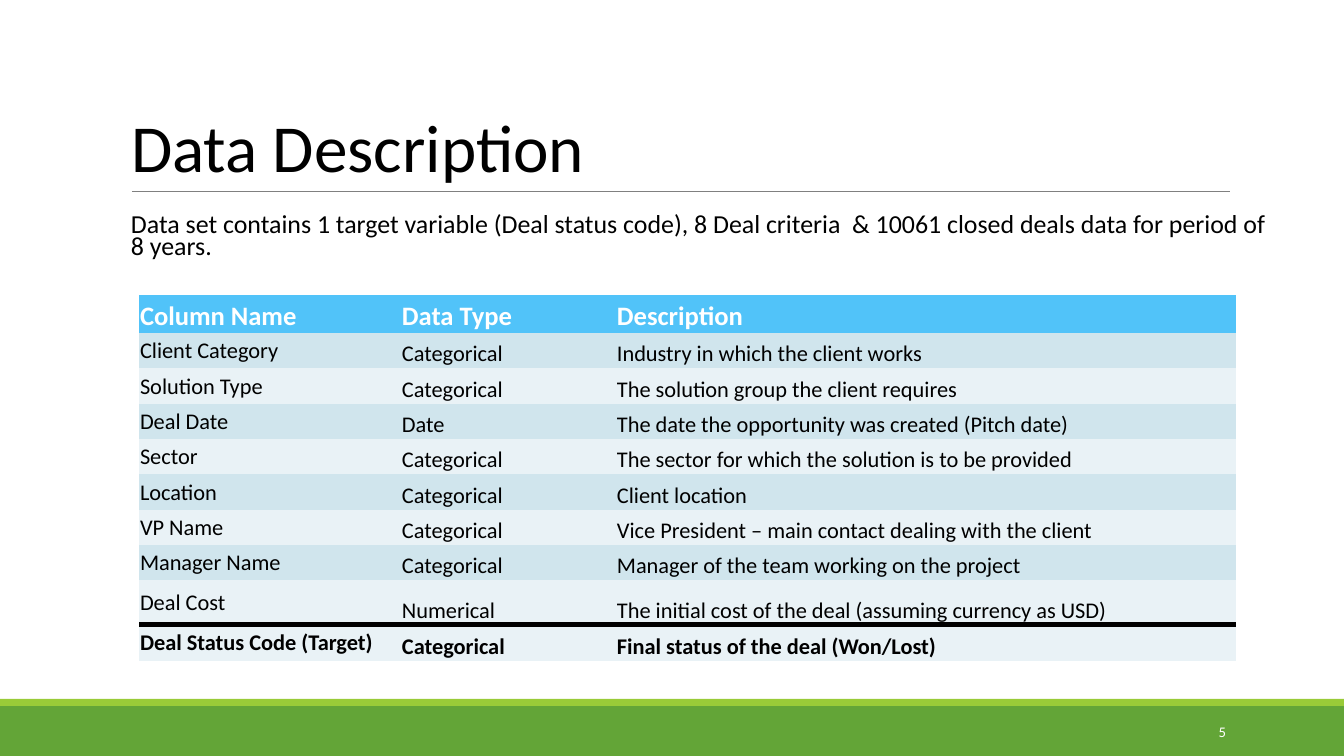
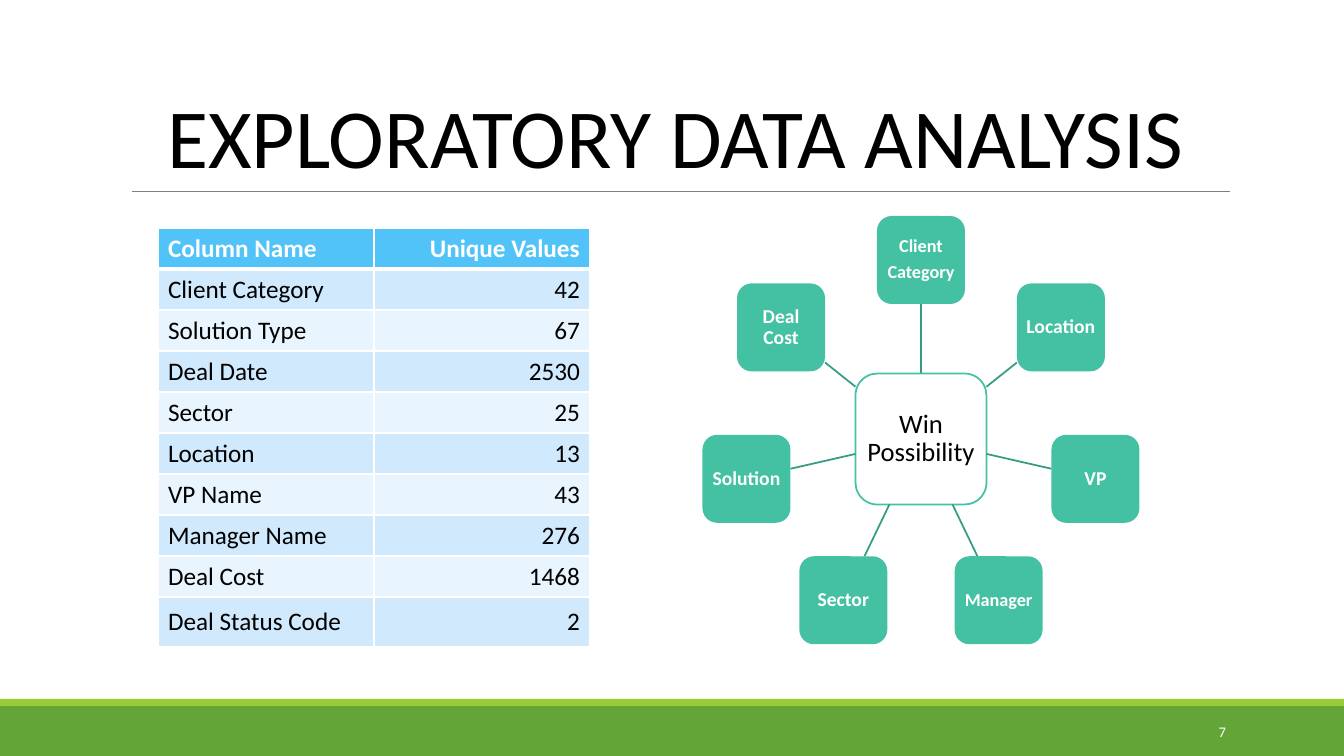
"""Build two slides that describe and explore a set of closed deals."""
from math import cos, pi, sin

from lxml import etree
from pptx import Presentation
from pptx.dml.color import RGBColor
from pptx.enum.shapes import MSO_CONNECTOR, MSO_SHAPE
from pptx.enum.text import MSO_ANCHOR, MSO_AUTO_SIZE, PP_ALIGN
from pptx.oxml import parse_xml
from pptx.oxml.ns import nsdecls, qn
from pptx.util import Pt

LEFT, CENTER, RIGHT = PP_ALIGN.LEFT, PP_ALIGN.CENTER, PP_ALIGN.RIGHT
TOP, MIDDLE, BOTTOM = MSO_ANCHOR.TOP, MSO_ANCHOR.MIDDLE, MSO_ANCHOR.BOTTOM
RECTANGLE, ROUNDED = MSO_SHAPE.RECTANGLE, MSO_SHAPE.ROUNDED_RECTANGLE
STRAIGHT = MSO_CONNECTOR.STRAIGHT
NO_AUTOFIT = MSO_AUTO_SIZE.NONE
TITLE_AND_BODY, TITLE_ONLY = 1, 5
PLAIN_TABLE = "{2D5ABB26-0587-4C30-8999-92F81FD0307C}"
FONT = "Calibri"
SCALE = 914400 / 100.8
COLORS = {
    "black": "000000", "white": "FFFFFF", "band": "63A537", "strip": "99CB38",
    "rule": "808080", "header": "51C3F9", "teal": "44C1A3", "spoke": "369B83",
    "mist": "D0E5ED", "pale_mist": "E9F2F6", "sky": "D0E9FD", "pale_sky": "E9F5FE",
}


def px(length):
    """Turn pixels into EMU."""
    return round(length * SCALE)


def rgb(name):
    """Look up a colour of the deck."""
    return RGBColor.from_string(COLORS[name])


class Deck:
    """Hold the style of the deck and the page being built."""

    def __init__(self):
        """Start an empty wide deck."""
        self.deck = Presentation()
        self.deck.slide_width, self.deck.slide_height = px(1344), px(756)
        self.page = None

    def set_text(self, frame, text, size, color="black", bold=False, align=LEFT,
                 spacing=1.0, after=0):
        """Fill a text frame and format its paragraphs."""
        frame.text = text
        for para in frame.paragraphs:
            para.alignment, para.line_spacing = align, spacing
            para.space_before, para.space_after = Pt(0), Pt(after)
            for span in para.runs:
                font = span.font
                font.name, font.size, font.bold = FONT, Pt(size), bold
                font.color.rgb = rgb(color)

    def add_page(self, layout, title, title_size, number, align=LEFT):
        """Add a page with its bands, rule, title and number."""
        self.page = self.deck.slides.add_slide(self.deck.slide_layouts[layout])
        self.shape(RECTANGLE, 0, 706, 1344, 50, "band")
        self.shape(RECTANGLE, 0, 699, 1344, 7, "strip")
        self.line(132, 191, 1230, 191, "rule", 0.5)
        frame = self.place(self.page.shapes.title, 121, 31, 1109, 160, BOTTOM)
        self.set_text(frame, title, title_size, align=align, spacing=0.85)
        box = self.page.shapes.add_textbox(0, 0, 0, 0)
        frame = self.place(box, 1092, 712, 144, 40, MIDDLE)
        self.set_text(frame, number, 10.5, "white", align=RIGHT)

    def place(self, box, left, top, width, height, anchor):
        """Move a text holder and return its frame."""
        box.left, box.top, box.width, box.height = map(px, (left, top, width, height))
        frame = box.text_frame
        frame.word_wrap, frame.auto_size = True, NO_AUTOFIT
        frame.vertical_anchor = anchor
        return frame

    def body(self, text, left, top, width, height, size):
        """Set the body placeholder as an unbulleted paragraph."""
        frame = self.place(self.page.placeholders[1], left, top, width, height, TOP)
        frame.margin_left = frame.margin_right = 0
        self.set_text(frame, text, size, spacing=0.7, after=2)
        para = frame.paragraphs[0]
        para.space_before = Pt(12)
        properties = para._p.get_or_add_pPr()
        properties.set("marL", str(px(10)))
        properties.set("indent", "0")
        etree.SubElement(properties, qn("a:buNone"))

    def shape(self, kind, left, top, width, height, fill, outline=None):
        """Add a flat preset shape."""
        shape = self.page.shapes.add_shape(kind, *map(px, (left, top, width, height)))
        shape.shadow.inherit = False
        shape.fill.solid()
        shape.fill.fore_color.rgb = rgb(fill)
        if outline:
            shape.line.color.rgb = rgb(outline)
            shape.line.width = Pt(1.25)
        else:
            shape.line.fill.background()
        return shape

    def node(self, text, x, y, half, size, fill, color, bold, outline=None):
        """Add a rounded square centred on a point."""
        shape = self.shape(ROUNDED, x - half, y - half, 2 * half, 2 * half, fill, outline)
        frame = shape.text_frame
        frame.word_wrap, frame.vertical_anchor = True, MIDDLE
        frame.margin_left = frame.margin_right = px(4)
        frame.margin_top = frame.margin_bottom = px(4)
        self.set_text(frame, text, size, color, bold, CENTER, 0.9, round(0.35 * size, 1))

    def line(self, x1, y1, x2, y2, color, width):
        """Add a straight line."""
        line = self.page.shapes.add_connector(STRAIGHT, *map(px, (x1, y1, x2, y2)))
        line.line.color.rgb = rgb(color)
        line.line.width = Pt(width)
        etree.SubElement(line._element.spPr, qn("a:effectLst"))

    def table(self, left, top, widths, heights):
        """Add an unstyled table and return it."""
        frame = self.page.shapes.add_table(
            len(heights), len(widths), px(left), px(top), px(sum(widths)), px(sum(heights)))
        table = frame.table
        table._tbl.tblPr.find(qn("a:tableStyleId")).text = PLAIN_TABLE
        for column, width in zip(table.columns, widths):
            column.width = px(width)
        for row, height in zip(table.rows, heights):
            row.height = px(height)
        return table

    def cell(self, cell, text, size, fill, color, bold, align, anchor):
        """Fill and format one table cell."""
        cell.fill.solid()
        cell.fill.fore_color.rgb = rgb(fill)
        cell.vertical_anchor = anchor
        self.set_text(cell.text_frame, text, size, color, bold, align)

    def borders(self, cell, color, widths):
        """Draw cell borders given as (side, points) in the order L, R, T, B."""
        properties = cell._tc.get_or_add_tcPr()
        for index, (side, width) in enumerate(widths):
            properties.insert(index, parse_xml(
                f'<a:ln{side} {nsdecls("a")} w="{Pt(width)}"><a:solidFill>'
                f'<a:srgbClr val="{COLORS[color]}"/></a:solidFill></a:ln{side}>'))


def describe_data(deck):
    """Build the page that lists the columns."""
    deck.add_page(TITLE_AND_BODY, "Data Description", 48, "5")
    deck.body("Data set contains 1 target variable (Deal status code), 8 Deal criteria  "
              "& 10061 closed deals data for period of 8 years.", 121, 211, 1154, 84, 18.5)
    rows = [
        ("Column Name", "Data Type", "Description"),
        ("Client Category", "Categorical", "Industry in which the client works"),
        ("Solution Type", "Categorical", "The solution group the client requires"),
        ("Deal Date", "Date", "The date the opportunity was created (Pitch date)"),
        ("Sector", "Categorical", "The sector for which the solution is to be provided"),
        ("Location", "Categorical", "Client location"),
        ("VP Name", "Categorical", "Vice President – main contact dealing with the client"),
        ("Manager Name", "Categorical", "Manager of the team working on the project"),
        ("Deal Cost", "Numerical", "The initial cost of the deal (assuming currency as USD)"),
        ("Deal Status Code (Target)", "Categorical", "Final status of the deal (Won/Lost)"),
    ]
    heights = [38, 35, 36, 35, 35, 36, 35, 35, 45, 36]
    table = deck.table(139, 295, [262, 215, 620], heights)
    target = len(rows) - 1
    for r, row in enumerate(rows):
        head = r == 0
        fill = "header" if head else "mist" if r % 2 and r < target else "pale_mist"
        for c, text in enumerate(row):
            cell = table.cell(r, c)
            cell.margin_left = cell.margin_right = cell.margin_top = px(1)
            cell.margin_bottom = 0
            deck.cell(cell, text, 19 if head else 16, fill, "white" if head else "black",
                      r in (0, target), LEFT, BOTTOM if head or c else MIDDLE)
            if r == target:
                deck.borders(cell, "black", [("T", 4)])


def explore_data(deck):
    """Build the page with the unique values and the wheel of factors."""
    deck.add_page(TITLE_ONLY, "EXPLORATORY DATA ANALYSIS", 60, "7", CENTER)
    rows = [
        ("Column Name", "Unique Values"), ("Client Category", "42"),
        ("Solution Type", "67"), ("Deal Date", "2530"), ("Sector", "25"),
        ("Location", "13"), ("VP Name", "43"), ("Manager Name", "276"),
        ("Deal Cost", "1468"), ("Deal Status Code", "2"),
    ]
    table = deck.table(158, 228, [216, 216], [41] * 9 + [50])
    for r, row in enumerate(rows):
        head = r == 0
        fill = "header" if head else "sky" if r % 2 else "pale_sky"
        for c, text in enumerate(row):
            cell = table.cell(r, c)
            deck.cell(cell, text, 18, fill, "white" if head else "black", head,
                      RIGHT if c else LEFT, TOP if head else MIDDLE)
            deck.borders(cell, "white", [("L", 1), ("R", 1), ("T", 3 if r == 1 else 1),
                                         ("B", 3 if head else 1)])

    x, y, radius, hub, half = 921, 439, 179, 65.5, 44
    factors = [("Client\nCategory", 13), ("Location", 14), ("VP", 14), ("Manager", 13),
               ("Sector", 14), ("Solution", 14), ("Deal Cost", 14)]
    deck.node("Win Possibility", x, y, hub, 19, "white", "black", False, "teal")
    for index, (factor, size) in enumerate(factors):
        angle = 2 * pi * index / len(factors)
        across, down = sin(angle), -cos(angle)
        reach = max(abs(across), abs(down))
        start, end = hub / reach, radius - half / reach
        deck.line(x + start * across, y + start * down,
                  x + end * across, y + end * down, "spoke", 1.25)
        deck.node(factor, x + radius * across, y + radius * down, half, size,
                  "teal", "white", True)


def main():
    """Build and save the deck."""
    deck = Deck()
    describe_data(deck)
    explore_data(deck)
    deck.deck.save("out.pptx")


main()
